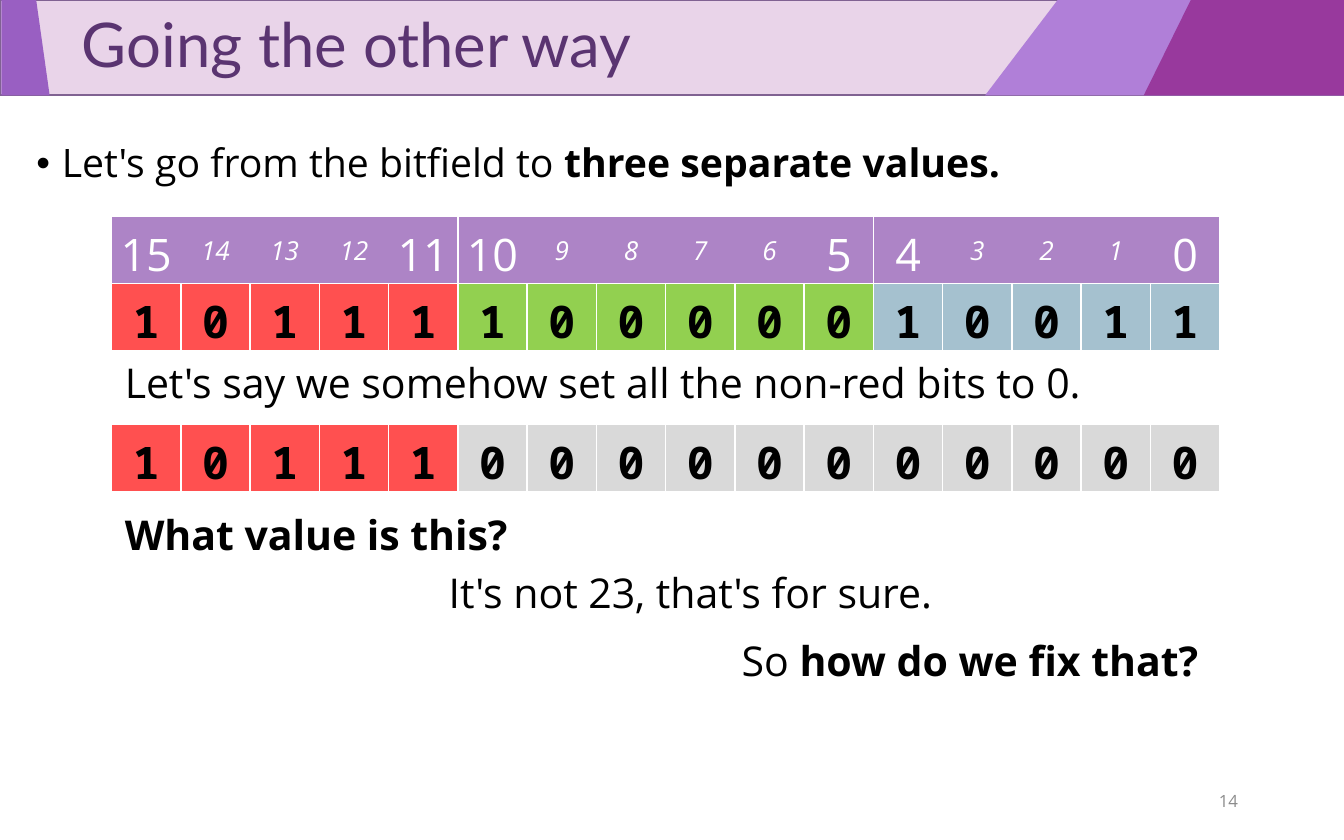
import pptx
import pptx.dml.color
import pptx.enum.shapes
import pptx.enum.text
import pptx.oxml.xmlchemy
import pptx.util
from lxml import etree
from pptx.enum.text import MSO_ANCHOR, MSO_AUTO_SIZE, PP_ALIGN
from pptx.oxml.ns import qn
from pptx.util import Inches

# Content
TITLE = "Going the other way"
BODY = [("Let's go from the bitfield to", {}), (" three separate values.", {"bold": True})]
NUMBER = "14"
BITS = "1011110000010011"
RED_BITS = "1011100000000000"
FIELDS = [(5, "FF5050"), (6, "92D050"), (5, "A5C1CF")]
MASKED = [(5, "FF5050"), (11, "D9D9D9")]
NOTES = [  # position and size, runs
    ((0.83, 2.61, 7.41, 0.47), [("Let's say we somehow set all the non-red bits to 0.", {})]),
    ((0.83, 3.74, 3.08, 0.47), [("What value is this?", {"bold": True})]),
    ((3.24, 4.17, 3.85, 0.47), [("It's not 23, that's for sure.", {})]),
    ((5.42, 4.68, 3.64, 0.47), [("So ", {}), ("how do we fix that?", {"bold": True})]),
]
BAND_H = 0.71
BANDS = [  # colour, outline
    ("B07FD8", [(7.87, 0), (10, 0), (10, BAND_H), (7.33, BAND_H)]),
    ("995FC2", [(0.01, 0), (0.27, 0), (0.37, BAND_H), (0.01, BAND_H)]),
    ("98399D", [(8.86, 0), (10, 0), (10, BAND_H), (8.51, BAND_H)]),
]
SANS, MONO, HEAD = "Open Sans", "Noto Sans Mono", "Lato"
TABLE_X, TABLE_W, ROW_H = 0.83, 8.25, 0.41


def color(hex_text):
    return pptx.dml.color.RGBColor.from_string(hex_text)


def fill(target, hex_text):
    target.fill.solid()
    target.fill.fore_color.rgb = color(hex_text)


def write(tf, runs, size, font=SANS, hex_text="000000", align=PP_ALIGN.LEFT):
    p = tf.paragraphs[0]
    p.alignment = align
    for text, extra in runs:
        r = p.add_run()
        r.text = text
        r.font.color.rgb = color(hex_text)
        for name, value in {"name": font, "size": pptx.util.Pt(size), **extra}.items():
            setattr(r.font, name, value)
    return p


def place(shape, box):
    for name, value in zip(("left", "top", "width", "height"), box):
        setattr(shape, name, Inches(value))


def indent(p, left, first):
    pPr = p._p.get_or_add_pPr()
    pPr.set("marL", str(Inches(left)))
    pPr.set("indent", str(Inches(first)))


def borders(cell, visible):
    tcPr = cell._tc.get_or_add_tcPr()
    for side in "LRTB":
        ln = etree.SubElement(tcPr, qn("a:ln" + side), w="12700")
        if side in visible:
            solid = etree.SubElement(ln, qn("a:solidFill"))
            etree.SubElement(solid, qn("a:srgbClr"), val="FFFFFF")
        else:
            etree.SubElement(ln, qn("a:noFill"))


def set_cell(cell, text, fill_hex, visible="LRTB", **style):
    for side in ("left", "right", "top", "bottom"):
        setattr(cell, "margin_" + side, Inches(0.05))
    borders(cell, visible)
    fill(cell, fill_hex)
    write(cell.text_frame, [(text, style.pop("extra"))], align=PP_ALIGN.CENTER, **style)


def add_grid(s, rows, top):
    frame = s.shapes.add_table(rows, len(BITS), Inches(TABLE_X), Inches(top),
                               Inches(TABLE_W), Inches(ROW_H * rows))
    frame.table.first_row = frame.table.horz_banding = False
    return frame.table


def fill_bits(table, row, bits, fields):
    fills = [hex_text for count, hex_text in fields for _ in range(count)]
    for i, (bit, hex_text) in enumerate(zip(bits, fills)):
        set_cell(table.cell(row, i), bit, hex_text, size=24, font=MONO, extra={"bold": True})


def fill_header(table):
    col = 0
    for count, _ in FIELDS:
        for i in range(count):
            first, last = i == 0, i == count - 1
            cell = table.cell(0, col)
            cell.vertical_anchor = MSO_ANCHOR.MIDDLE
            set_cell(cell, str(len(BITS) - 1 - col), "AD84C6",
                     "TB" + "L" * first + "R" * last, size=24 if first or last else 14,
                     hex_text="FFFFFF", extra={"italic": not (first or last)})
            col += 1


def main():
    prs = pptx.Presentation()
    prs.slide_width, prs.slide_height = Inches(10), Inches(6.25)
    s = prs.slides.add_slide(prs.slide_layouts[1])
    title, body = s.placeholders

    # Title band
    bar = s.shapes.add_shape(pptx.enum.shapes.MSO_SHAPE.RECTANGLE, 0, 0,
                             prs.slide_width, Inches(BAND_H))
    bar.shadow.inherit = False
    fill(bar, "E9D4E9")
    bar.line.color.rgb = color("806292")
    bar.line.width = pptx.util.Pt(1)
    for hex_text, outline in BANDS:
        points = [(Inches(x), Inches(y)) for x, y in outline]
        builder = s.shapes.build_freeform(*points[0])
        builder.add_line_segments(points[1:])
        band = builder.convert_to_shape()
        band.shadow.inherit = False
        fill(band, hex_text)
        band.line.fill.background()

    # Title and body, in front of the band
    for holder, box, anchor in ((title, (0.01, 0, 10, BAND_H), MSO_ANCHOR.MIDDLE),
                                (body, (0.17, 1.02, 9.83, 0.66), MSO_ANCHOR.TOP)):
        s.shapes._spTree.append(holder._element)
        place(holder, box)
        holder.text_frame.vertical_anchor = anchor
        holder.text_frame.auto_size = MSO_AUTO_SIZE.NONE
    p = write(title.text_frame, [(TITLE, {})], 33, HEAD, "5A3471")
    p.line_spacing = 0.9
    indent(p, 0.5, 0)
    p = write(body.text_frame, BODY, 21)
    p.line_spacing = 0.9
    p.space_before = pptx.util.Pt(7.5)
    indent(p, 0.19, -0.19)

    # Slide number
    box = s.shapes.add_textbox(*map(Inches, (7.06, 5.79, 2.25, 0.33)))
    box.text_frame.word_wrap = True
    box.text_frame.vertical_anchor = MSO_ANCHOR.MIDDLE
    write(box.text_frame, [(NUMBER, {})], 9, hex_text="8C8C8C", align=PP_ALIGN.RIGHT)

    # Bit tables
    table = add_grid(s, 2, 1.61)
    fill_header(table)
    fill_bits(table, 1, BITS, FIELDS)
    fill_bits(add_grid(s, 1, 3.16), 0, RED_BITS, MASKED)

    # Remarks
    for position, runs in NOTES:
        tf = s.shapes.add_textbox(*map(Inches, position)).text_frame
        tf.word_wrap = False
        tf.auto_size = MSO_AUTO_SIZE.SHAPE_TO_FIT_TEXT
        write(tf, runs, 22)

    prs.save("out.pptx")


if __name__ == "__main__":
    main()
